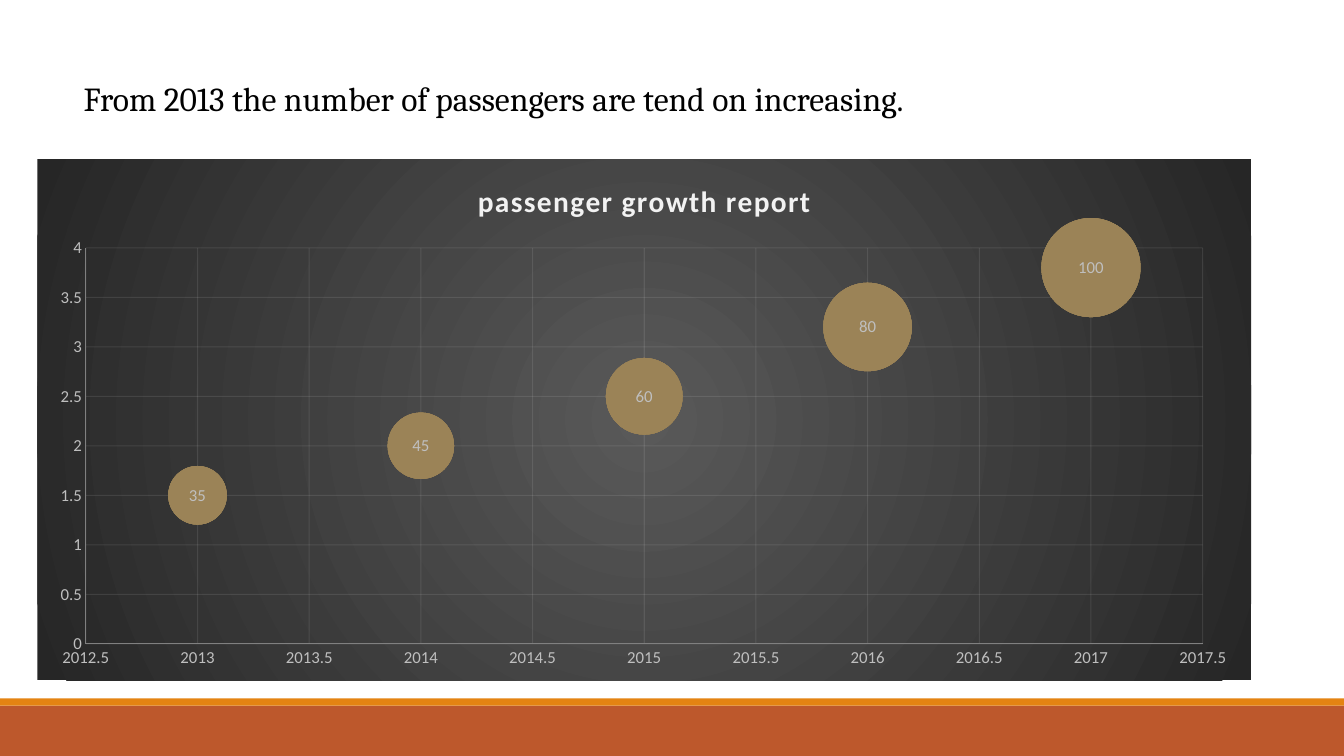
"""Build a slide with a bubble chart of passenger growth."""
from dataclasses import dataclass

from lxml import etree
from pptx import Presentation
from pptx import util as u
from pptx.chart.data import BubbleChartData
from pptx.dml.color import RGBColor
from pptx.enum import chart as charts, shapes, text
from pptx.oxml import parse_xml
from pptx.oxml.ns import nsdecls, qn

WIDTH, HEIGHT = u.Inches(13.33), u.Inches(7.5)
COLORS = {
    "band": "BD582C", "stripe": "E48312", "title": "000000",
    "glow": "595959", "edge": "262626", "bubble": "9B8357", "rim": "907A51",
    "heading": "F2F2F2", "label": "BFBFBF", "axis": "808080", "grid": "F2F2F2",
}


@dataclass(frozen=True)
class Area:
    """Left, top, width and height as shares of the slide."""
    left: float
    top: float
    width: float
    height: float

    def box(self) -> tuple[int, int, int, int]:
        return (int(self.left * WIDTH), int(self.top * HEIGHT),
                int(self.width * WIDTH), int(self.height * HEIGHT))


@dataclass(frozen=True)
class Band:
    color: str
    area: Area


@dataclass(frozen=True)
class Scale:
    minimum: float
    maximum: float


@dataclass(frozen=True)
class Year:
    year: int
    level: float
    passengers: int


BANDS = [
    Band("band", Area(0, 7 / 7.5, 1, 0.5 / 7.5)),
    Band("stripe", Area(0, 6.93 / 7.5, 1, 0.07 / 7.5)),
]
TITLE_AREA = Area(0.73 / 13.33, 0.69 / 7.5, 8.91 / 13.33, 0.53 / 7.5)
CHART_AREA = Area(0.37 / 13.33, 1.58 / 7.5, 12.04 / 13.33, 5.17 / 7.5)
PLOT_SHARES = {"x": 0.04, "y": 0.17, "w": 0.92, "h": 0.76}
YEARS = [
    Year(2013, 1.5, 35), Year(2014, 2, 45), Year(2015, 2.5, 60),
    Year(2016, 3.2, 80), Year(2017, 3.8, 100),
]


def apply(target, values: dict) -> None:
    for name, value in values.items():
        setattr(target, name, value)


def format_font(font, color: str, values: dict) -> None:
    apply(font, values)
    font.color.rgb = RGBColor.from_string(COLORS[color])


def gradient(stops: dict[int, str], center: int):
    marks = "".join(
        f'<a:gs pos="{share * 1000}"><a:srgbClr val="{COLORS[color]}"/></a:gs>'
        for share, color in stops.items())
    sides = " ".join(f'{side}="{center * 1000}"' for side in "ltrb")
    return parse_xml(
        f'<a:gradFill {nsdecls("a")}><a:gsLst>{marks}</a:gsLst>'
        f'<a:path path="circle"><a:fillToRect {sides}/></a:path></a:gradFill>')


def draw_band(slide, band: Band) -> None:
    shape = slide.shapes.add_shape(shapes.MSO_SHAPE.RECTANGLE, *band.area.box())
    shape.shadow.inherit = False
    shape.fill.solid()
    shape.fill.fore_color.rgb = RGBColor.from_string(COLORS[band.color])
    shape.line.fill.background()


def write_title(slide) -> None:
    title = slide.shapes.title
    apply(title, dict(zip(("left", "top", "width", "height"), TITLE_AREA.box())))
    frame = title.text_frame
    frame.text = "From 2013 the number of passengers are tend on increasing."
    apply(frame, {"word_wrap": False, "vertical_anchor": text.MSO_ANCHOR.TOP,
                  "auto_size": text.MSO_AUTO_SIZE.NONE})
    paragraph = frame.paragraphs[0]
    apply(paragraph, {"alignment": text.PP_ALIGN.LEFT, "line_spacing": 1.07,
                      "space_before": u.Pt(0), "space_after": u.Pt(8)})
    format_font(paragraph.runs[0].font, "title",
                {"name": "Cambria", "size": u.Pt(24)})


def format_axis(axis, scale: Scale) -> None:
    apply(axis, {
        "minimum_scale": scale.minimum, "maximum_scale": scale.maximum,
        "major_unit": 0.5, "has_major_gridlines": True,
        "major_tick_mark": charts.XL_TICK_MARK.NONE,
        "minor_tick_mark": charts.XL_TICK_MARK.NONE,
    })
    apply(axis.tick_labels, {"number_format": "General",
                             "number_format_is_linked": False})
    format_font(axis.tick_labels.font, "label",
                {"name": "Calibri", "size": u.Pt(12)})
    grid = axis.major_gridlines.format.line
    for line, color in ((axis.format.line, "axis"), (grid, "grid")):
        line.width = u.Pt(0.75)
        line.color.rgb = RGBColor.from_string(COLORS[color])
    gridlines = axis._element.find(qn("c:majorGridlines"))
    tint = gridlines.find(".//" + qn("a:srgbClr"))
    etree.SubElement(tint, qn("a:alpha")).set("val", "10000")


def place_plot(chart) -> None:
    area = chart._chartSpace.find(".//" + qn("c:plotArea"))
    for layout in area.findall(qn("c:layout")):
        area.remove(layout)
    modes = "".join(f'<c:{side}Mode val="edge"/>' for side in "xy")
    shares = "".join(f'<c:{name} val="{share}"/>'
                     for name, share in PLOT_SHARES.items())
    area.insert(0, parse_xml(
        f'<c:layout {nsdecls("c")}><c:manualLayout><c:layoutTarget val="inner"/>'
        f'{modes}{shares}</c:manualLayout></c:layout>'))


def fill_background(chart) -> None:
    properties = parse_xml(
        f'<c:spPr {nsdecls("c", "a")}><a:ln><a:noFill/></a:ln></c:spPr>')
    properties.insert(0, gradient({0: "glow", 100: "edge"}, 50))
    chart._chartSpace.find(qn("c:chart")).addnext(properties)


def draw_chart(slide) -> None:
    data = BubbleChartData()
    points = data.add_series("Series 1")
    for entry in YEARS:
        points.add_data_point(entry.year, entry.level, entry.passengers)
    chart = slide.shapes.add_chart(
        charts.XL_CHART_TYPE.BUBBLE, *CHART_AREA.box(), data).chart
    apply(chart, {"has_legend": False, "has_title": True})
    format_font(chart.font, "label", {"name": "Calibri", "size": u.Pt(12)})
    fill_background(chart)
    place_plot(chart)

    heading = chart.chart_title
    heading.include_in_layout = False
    heading.text_frame.text = "passenger growth report"
    run = heading.text_frame.paragraphs[0].runs[0]
    format_font(run.font, "heading",
                {"name": "Calibri", "size": u.Pt(21), "bold": True})
    run._r.get_or_add_rPr().set("spc", "100")

    format_axis(chart.category_axis, Scale(2012.5, 2017.5))
    format_axis(chart.value_axis, Scale(0, 4))

    plot = chart.plots[0]
    apply(plot, {"bubble_scale": 100, "has_data_labels": True})
    apply(plot.data_labels, {"show_value": True,
                             "position": charts.XL_LABEL_POSITION.CENTER})
    format_font(plot.data_labels.font, "label",
                {"name": "Calibri", "size": u.Pt(12)})
    series = plot.series[0]
    series.format.line.fill.background()
    series._element.find(qn("c:spPr")).insert(
        0, gradient({0: "bubble", 90: "bubble", 100: "rim"}, 100))


def main() -> None:
    presentation = Presentation()
    apply(presentation, {"slide_width": WIDTH, "slide_height": HEIGHT})
    slide = presentation.slides.add_slide(presentation.slide_layouts[5])
    for band in BANDS:
        draw_band(slide, band)
    draw_chart(slide)
    write_title(slide)
    presentation.save("out.pptx")


if __name__ == "__main__":
    main()
